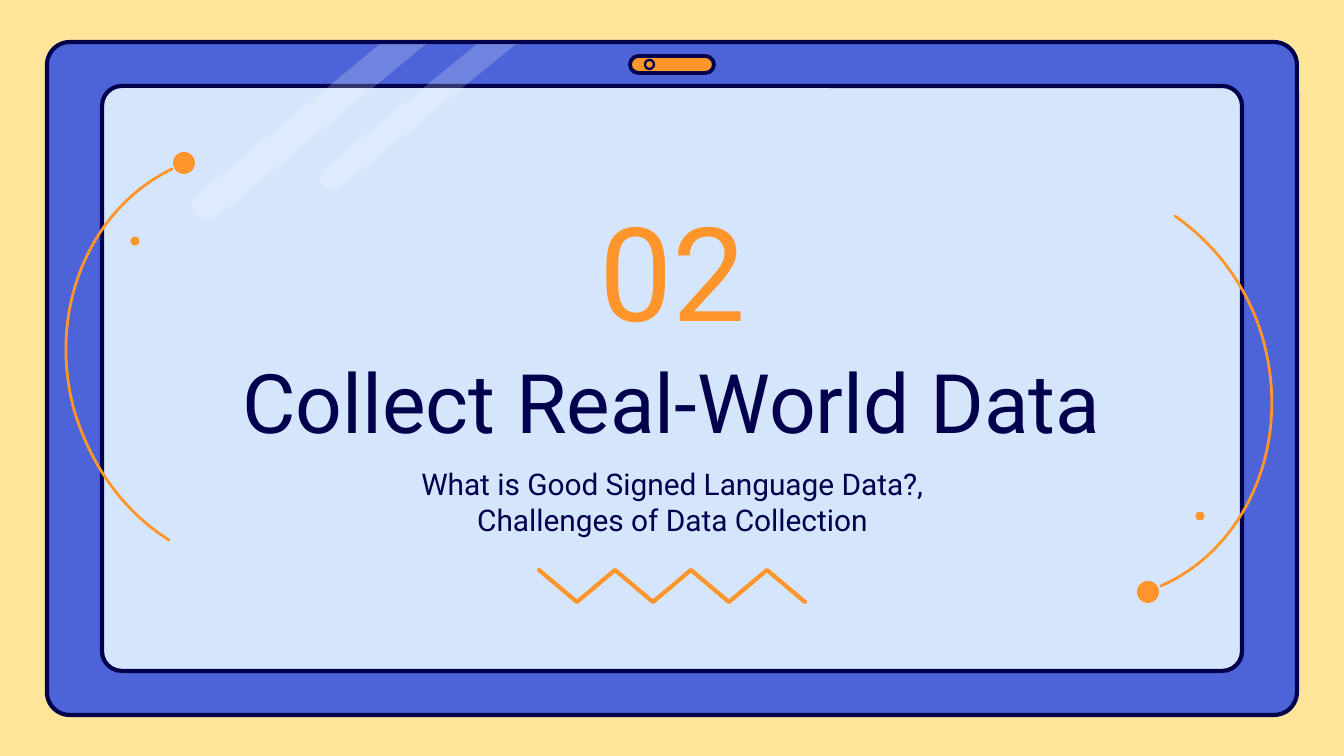
"""Build a section-opening slide framed as a tablet screen."""
from pptx import Presentation
from pptx.dml.color import RGBColor
from pptx.enum.shapes import MSO_SHAPE as Preset
from pptx.enum.text import MSO_ANCHOR as Anchor, MSO_AUTO_SIZE as AutoSize, PP_ALIGN as Align
from pptx.oxml.ns import qn
from pptx.util import Pt
from lxml.etree import SubElement

PX = 914400 / 134.4
THEME = {
    "sand": "FFE599", "blue": "4C64D8", "sky": "D5E6FC", "navy": "00004D",
    "orange": "FF952B", "white": "FFFFFF", "font": "Roboto",
    "number": 70, "title": 44, "subtitle": 16,
    "frame_line": 2.25, "pill_line": 2, "lens_line": 1.25, "arc_line": 1.5,
}
SLIDE = (1344, 756)

TEXTS = {
    "title": ("Collect Real-World Data", (128, 285, 1088, 165), "navy", Anchor.BOTTOM),
    "subtitle": ("What is Good Signed Language Data?, Challenges of Data Collection",
                 (367, 466, 611, 50), "navy", Anchor.TOP),
    "number": ("02", (367, 218, 611, 103), "orange", Anchor.MIDDLE),
}
FRAMES = [((47, 42, 1250, 673), "blue"), ((102, 86, 1140, 585), "sky")]
PILL = (630, 56, 84, 17)
LENS = (645, 60, 9, 9)
GLARES = [
    [(426, 44), (218, 216), (214, 220, 211, 220, 207, 220), (203, 220, 199, 219, 196, 215),
     (190, 211, 191, 202, 196, 196), (380, 44)],
    [(516, 44), (341, 187), (339, 189, 336, 190, 333, 190), (329, 190, 326, 188, 324, 185),
     (317, 181, 320, 173, 324, 169), (477, 44)],
]
ARCS = [
    [(1175, 216), (1218, 246, 1253, 293, 1266, 351), (1289, 452, 1243, 550, 1161, 586)],
    [(172, 169), (91, 208, 48, 307, 73, 406), (89, 464, 124, 512, 169, 540)],
]
DOTS = [(1148, 592, 22), (1200, 516, 9), (184, 163, 22), (135, 241, 9)]
ZIGZAG = [(539 + 38 * step, 602 if step % 2 else 570) for step in range(8)]


def px(value):
    return round(value * PX)


def color(name):
    return RGBColor.from_string(THEME[name])


def paint(shape, fill=None, line=None, width=0):
    shape.shadow.inherit = False
    if fill:
        shape.fill.solid()
        shape.fill.fore_color.rgb = color(fill)
    else:
        shape.fill.background()
    if line:
        shape.line.color.rgb = color(line)
        shape.line.width = Pt(width)
    else:
        shape.line.fill.background()
    return shape


def add_preset(page, preset, place, radius=None, **style):
    shape = page.shapes.add_shape(preset, *map(px, place))
    if radius is not None:
        shape.adjustments[0] = radius
    return paint(shape, **style)


def trace(path, steps=24):
    points = [path[0]]
    for part in path[1:]:
        if len(part) == 2:
            points.append(part)
            continue
        start, first, second, end = points[-1], part[:2], part[2:4], part[4:]
        for step in range(1, steps + 1):
            t = step / steps
            u = 1 - t
            points.append(tuple(
                u**3 * a + 3 * u * u * t * b + 3 * u * t * t * c + t**3 * d
                for a, b, c, d in zip(start, first, second, end)))
    return points


def add_path(page, path, close=False, **style):
    points = [(px(x), px(y)) for x, y in trace(path)]
    builder = page.shapes.build_freeform(*points[0])
    builder.add_line_segments(points[1:], close=close)
    shape = paint(builder.convert_to_shape(), **style)
    if style.get("line"):
        outline = shape.line._get_or_add_ln()
        outline.set("cap", "rnd")
        SubElement(outline, qn("a:round"))
    return shape


def write(box, role):
    text, place, tint, anchor = TEXTS[role]
    box.left, box.top, box.width, box.height = map(px, place)
    frame = box.text_frame
    frame.word_wrap = True
    frame.auto_size = AutoSize.NONE
    frame.vertical_anchor = anchor
    frame.margin_left = frame.margin_top = frame.margin_right = frame.margin_bottom = 0
    para = frame.paragraphs[0]
    para.alignment = Align.CENTER
    para.space_before = Pt(0)
    span = para.add_run()
    span.text = text
    span.font.name = THEME["font"]
    span.font.size = Pt(THEME[role])
    span.font.color.rgb = color(tint)


def main():
    deck = Presentation()
    deck.slide_width, deck.slide_height = map(px, SLIDE)
    page = deck.slides.add_slide(deck.slide_layouts[0])
    page.background.fill.solid()
    page.background.fill.fore_color.rgb = color("sand")
    title, subtitle = page.placeholders

    for place, fill in FRAMES:
        add_preset(page, Preset.ROUNDED_RECTANGLE, place, 0.034, fill=fill,
                   line="navy", width=THEME["frame_line"])
    for path in GLARES:
        glare = add_path(page, path, close=True, fill="white")
        tint = glare.element.spPr.find(qn("a:solidFill"))[0]
        SubElement(tint, qn("a:alpha")).set("val", "20000")
    add_preset(page, Preset.ROUNDED_RECTANGLE, PILL, 0.5, fill="orange",
               line="navy", width=THEME["pill_line"])
    add_preset(page, Preset.OVAL, LENS, line="navy", width=THEME["lens_line"])

    for box, role in ((title, "title"), (subtitle, "subtitle")):
        write(box, role)
        box.element.getparent().append(box.element)
    write(page.shapes.add_textbox(0, 0, 0, 0), "number")

    add_path(page, ZIGZAG, line="orange", width=THEME["frame_line"])
    for path in ARCS:
        add_path(page, path, line="orange", width=THEME["arc_line"])
    for x, y, size in DOTS:
        add_preset(page, Preset.OVAL, (x - size / 2, y - size / 2, size, size), fill="orange")
    deck.save("out.pptx")


if __name__ == "__main__":
    main()
